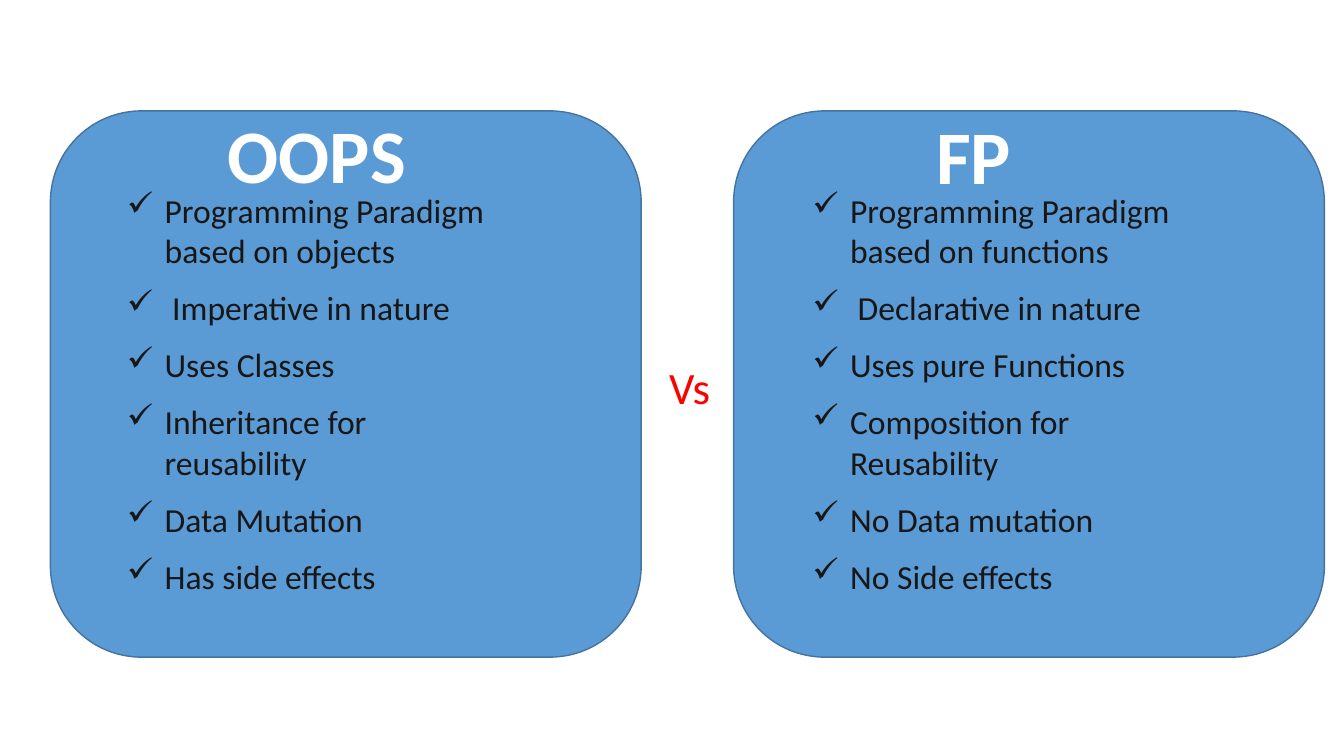
from dataclasses import dataclass

from lxml import etree
from pptx import Presentation
from pptx import util as u
from pptx.dml import color as col
from pptx.enum import shapes, text
from pptx.oxml import ns


@dataclass(frozen=True)
class Theme:
    font: str = "Calibri"
    panel: str = "5B9BD5"
    edge: str = "43739E"
    ink: str = "181717"
    white: str = "FFFFFF"
    red: str = "FF0000"
    body: int = 24
    mid: int = 32
    head: int = 54


@dataclass(frozen=True)
class Box:
    left: float
    top: float
    width: float
    height: float


@dataclass(frozen=True)
class Style:
    size: int
    color: str
    bold: bool = False
    after: float = 0
    inset: float = 0
    hang: float = 0
    mark: str = ""


@dataclass(frozen=True)
class Side:
    panel: Box
    head: Box
    list: Box
    title: str
    inset: float
    points: tuple[str, ...]


THEME = Theme()
BODY = Style(THEME.body, THEME.ink, after=12, inset=27, hang=27, mark="✓")
VERSUS = Style(THEME.mid, THEME.red)

SIDES = (
    Side(Box(524, 79.2, 422, 390.2), Box(637.2, 74, 157, 72.7),
         Box(573.1, 131.8, 284.4, 383), "FP", 24.4,
         ("Programming Paradigm based on functions", " Declarative in nature",
          "Uses pure Functions", "Composition for Reusability",
          "No Data mutation", "No Side effects")),
    Side(Box(36, 79.2, 422, 390.2), Box(155.5, 73.5, 157, 72.7),
         Box(83.5, 131.8, 284.4, 342), "OOPS", 0,
         ("Programming Paradigm based on objects", " Imperative in nature",
          "Uses Classes", "Inheritance for reusability",
          "Data Mutation", "Has side effects")),
)


def put(item, values: dict) -> None:
    for name, value in values.items():
        setattr(item, name, value)


def place(box: Box) -> tuple:
    return tuple(u.Pt(n) for n in (box.left, box.top, box.width, box.height))


def rgb(code: str) -> col.RGBColor:
    return col.RGBColor.from_string(code)


def add_panel(slide, box: Box) -> None:
    panel = slide.shapes.add_shape(
        shapes.MSO_SHAPE.ROUNDED_RECTANGLE, *place(box))
    panel.shadow.inherit = False
    panel.fill.solid()
    panel.fill.fore_color.rgb = rgb(THEME.panel)
    panel.line.color.rgb = rgb(THEME.edge)
    panel.line.width = u.Pt(1)


def indent(para, style: Style) -> None:
    props = para._p.get_or_add_pPr()
    props.set("marL", str(u.Pt(style.inset)))
    props.set("indent", str(u.Pt(-style.hang)))
    if style.mark:
        mark = etree.SubElement(props, ns.qn("a:buChar"))
        mark.set("char", style.mark)


def add_text(slide, box: Box, lines: tuple[str, ...], style: Style) -> None:
    frame = slide.shapes.add_textbox(*place(box)).text_frame
    put(frame, {"word_wrap": True,
                "auto_size": text.MSO_AUTO_SIZE.SHAPE_TO_FIT_TEXT})
    for i, line in enumerate(lines):
        para = frame.add_paragraph() if i else frame.paragraphs[0]
        para.space_after = u.Pt(style.after)
        indent(para, style)
        run = para.add_run()
        run.text = line
        put(run.font, {"name": THEME.font, "size": u.Pt(style.size),
                       "bold": style.bold})
        run.font.color.rgb = rgb(style.color)


def main() -> None:
    deck = Presentation()
    put(deck, {"slide_width": u.Pt(960), "slide_height": u.Pt(540)})
    slide = deck.slides.add_slide(deck.slide_layouts[6])

    # Two panels, each with a heading and a checked list
    for side in SIDES:
        add_panel(slide, side.panel)
        add_text(slide, side.list, side.points, BODY)
        head = Style(THEME.head, THEME.white, bold=True, inset=side.inset)
        add_text(slide, side.head, (side.title,), head)

    # Word between the panels
    add_text(slide, Box(470.9, 253.4, 45.4, 46), ("Vs",), VERSUS)

    deck.save("out.pptx")


if __name__ == "__main__":
    main()
